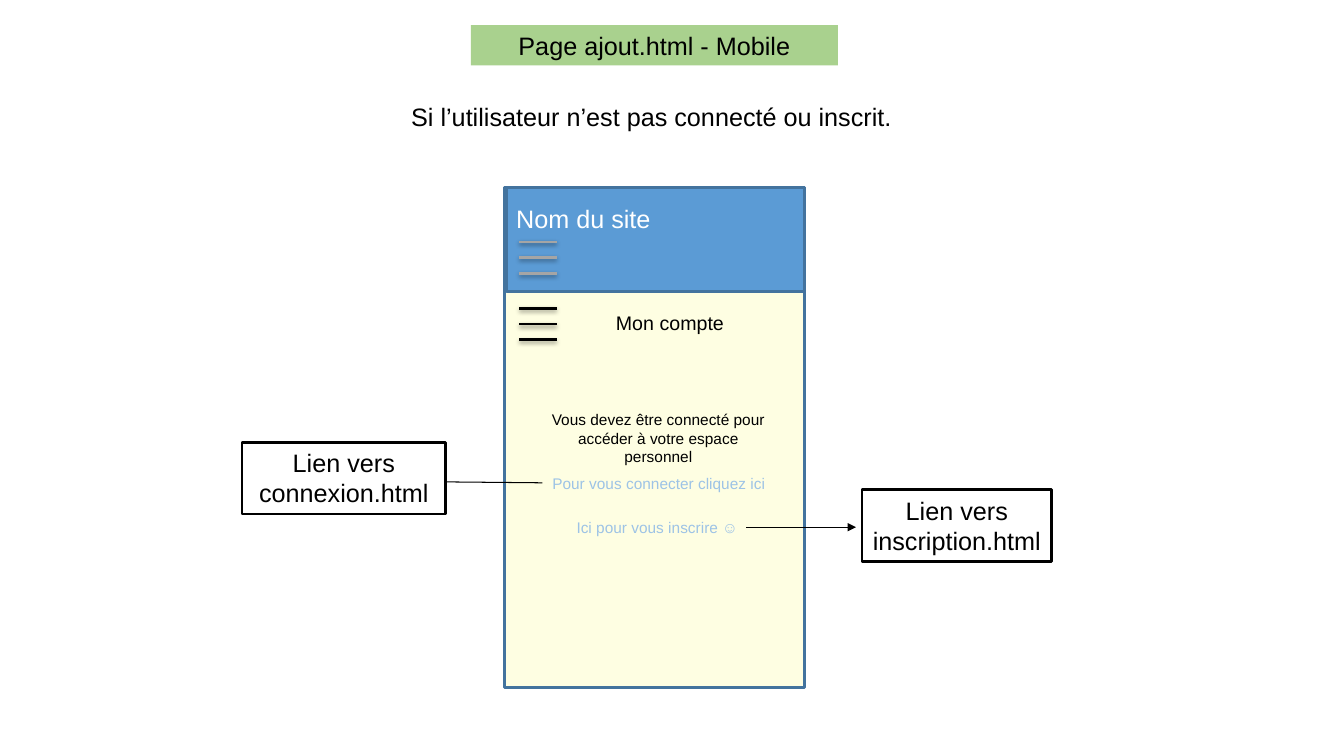
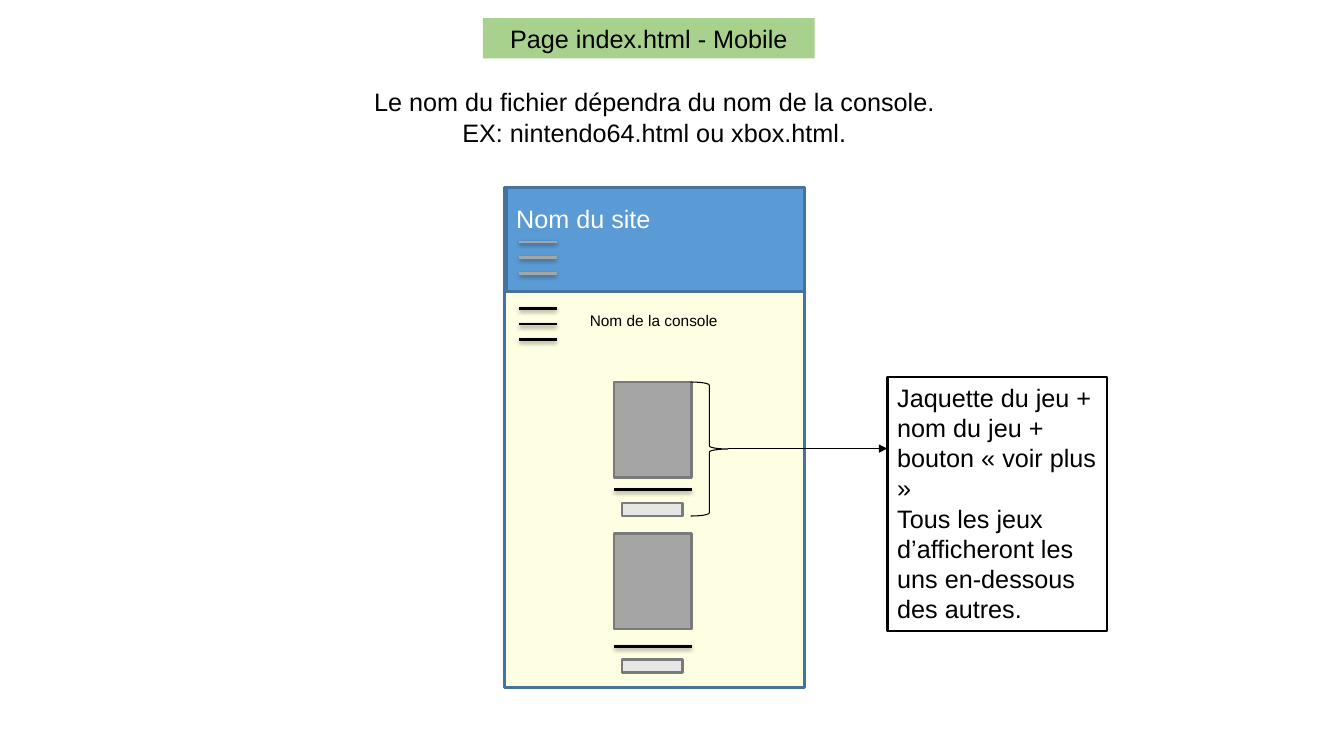
from pptx import Presentation
from pptx.dml.color import RGBColor
from pptx.enum import shapes, text
from pptx.oxml.ns import qn
from pptx.util import Inches, Pt
from lxml import etree

FONT = "Arial"
BLACK = RGBColor(0x00, 0x00, 0x00)
WHITE = RGBColor(0xFF, 0xFF, 0xFF)
GREEN = RGBColor(0xA9, 0xD1, 0x8E)
CREAM = RGBColor(0xFE, 0xFE, 0xE2)
BLUE = RGBColor(0x5B, 0x9B, 0xD5)
DARK_BLUE = RGBColor(0x43, 0x73, 0x9E)
LINK_BLUE = RGBColor(0x9D, 0xC3, 0xE6)
GREY = RGBColor(0xA5, 0xA5, 0xA5)
DARK_GREY = RGBColor(0x7A, 0x7A, 0x7A)
LIGHT_GREY = RGBColor(0xE7, 0xE6, 0xE6)

LEFT = text.PP_ALIGN.LEFT
CENTER = text.PP_ALIGN.CENTER
PHONE = (5, 1.86, 2.98, 4.96)


def inches(*lengths):
    return [Inches(length) for length in lengths]


def write(shape, wording, size=18, color=BLACK, align=CENTER):
    frame = shape.text_frame
    frame.word_wrap = True
    frame.vertical_anchor = text.MSO_ANCHOR.TOP
    frame.text = wording
    for paragraph in frame.paragraphs:
        paragraph.alignment = align
        for run in paragraph.runs:
            run.font.name = FONT
            run.font.size = Pt(size)
            run.font.color.rgb = color


def add_label(slide, box, wording, size=18, color=BLACK, align=CENTER):
    label = slide.shapes.add_textbox(*inches(*box))
    write(label, wording, size, color, align)


def add_box(slide, box, fill=None, line=None, width=2,
            kind=shapes.MSO_SHAPE.RECTANGLE):
    shape = slide.shapes.add_shape(kind, *inches(*box))
    shape.shadow.inherit = False
    if fill is None:
        shape.fill.background()
    else:
        shape.fill.solid()
        shape.fill.fore_color.rgb = fill
    if line is None:
        shape.line.fill.background()
    else:
        shape.line.color.rgb = line
        shape.line.width = Pt(width)
    return shape


def add_line(slide, start, end, color=BLACK, width=2):
    """Draw a straight line that keeps the soft shadow of the theme."""
    line = slide.shapes.add_connector(
        shapes.MSO_CONNECTOR.STRAIGHT, *inches(*start, *end))
    line.line.color.rgb = color
    line.line.width = Pt(width)
    return line


def add_arrow(slide, start, end):
    arrow = add_line(slide, start, end, width=0.75)
    etree.SubElement(arrow.line._get_or_add_ln(), qn("a:tailEnd"), type="triangle")
    etree.SubElement(arrow._element.spPr, qn("a:effectLst"))


def add_title(slide, box, wording):
    write(add_box(slide, box, GREEN), wording)


def add_callout(slide, box, wording, align=CENTER):
    write(add_box(slide, box, WHITE, BLACK), wording, align=align)


def add_menu_icon(slide, left, top, color):
    for row in range(3):
        y = top + row * 0.155
        add_line(slide, (left, y), (left + 0.37, y), color)


def add_phone(slide, box, heading, heading_width, heading_size):
    """Draw the phone screen with its site header, menus and page heading."""
    left, top, width, height = box
    add_box(slide, box, CREAM, DARK_BLUE)
    add_box(slide, (left + 0.02, top, width - 0.02, 1.03), BLUE, DARK_BLUE)
    add_label(slide, (left + 0.02, top + 0.11, 1.59, 0.4), "Nom du site",
              color=WHITE, align=LEFT)
    add_menu_icon(slide, left + 0.15, top + 0.54, GREY)
    add_menu_icon(slide, left + 0.15, top + 1.2, BLACK)
    add_label(slide, (left + 0.75, top + 1.18, heading_width, 0.34), heading,
              heading_size)


def add_game(slide, left, top, name_gap):
    """Draw a game cover, the line for its name and its button."""
    width, height = 0.77, 0.95
    name_y = top + height + name_gap
    add_box(slide, (left, top, width, height), GREY, DARK_GREY)
    add_line(slide, (left, name_y), (left + width, name_y))
    add_box(slide, (left + 0.08, name_y + 0.13, 0.6, 0.13), LIGHT_GREY, DARK_GREY)


def build_add_page(slide):
    add_title(slide, (4.67, 0.25, 3.64, 0.4), "Page ajout.html - Mobile")
    add_label(slide, (3.98, 0.96, 5.1, 0.4),
              "Si l’utilisateur n’est pas connecté ou inscrit.", align=LEFT)
    add_phone(slide, PHONE, "Mon compte", 1.79, 14)

    left, top = PHONE[:2]
    add_label(slide, (left + 0.33, top + 2.16, 2.4, 0.66),
              "Vous devez être connecté pour accéder à votre espace personnel", 11)
    add_label(slide, (left + 0.37, top + 2.79, 2.33, 0.29),
              "Pour vous connecter cliquez ici", 11, LINK_BLUE)
    add_label(slide, (left + 0.62, top + 3.23, 1.83, 0.29),
              "Ici pour vous inscrire ☺", 11, LINK_BLUE, LEFT)

    add_arrow(slide, (7.4, 5.23), (8.49, 5.23))
    add_callout(slide, (8.55, 4.86, 1.88, 0.71), "Lien vers inscription.html")
    add_arrow(slide, (5.38, 4.79), (4.35, 4.78))
    add_callout(slide, (2.4, 4.39, 2.02, 0.71), "Lien vers connexion.html")


def build_index_page(slide):
    add_title(slide, (4.79, 0.18, 3.29, 0.4), "Page index.html - Mobile")
    add_label(slide, (3.54, 0.81, 5.9, 0.71),
              "Le nom du fichier dépendra du nom de la console. "
              "EX: nintendo64.html ou xbox.html.")
    add_phone(slide, PHONE, "Nom de la console", 1.47, 11)

    left, top = PHONE[:2]
    for offset, name_gap in ((1.93, 0.12), (3.43, 0.17)):
        add_game(slide, left + 1.09, top + offset, name_gap)

    add_callout(slide, (8.8, 3.74, 2.18, 2.52),
                "Jaquette du jeu + nom du jeu + bouton « voir plus »\n"
                "Tous les jeux d’afficheront les uns en-dessous des autres.", LEFT)
    add_box(slide, (6.85, 3.79, 0.37, 1.33), line=BLACK, width=0.75,
            kind=shapes.MSO_SHAPE.RIGHT_BRACE)
    add_arrow(slide, (7.22, 4.45), (8.8, 4.45))


def main():
    presentation = Presentation()
    presentation.slide_width, presentation.slide_height = inches(13.33, 7.5)
    blank = presentation.slide_layouts[6]
    for build in (build_add_page, build_index_page):
        build(presentation.slides.add_slide(blank))
    presentation.save("out.pptx")


if __name__ == "__main__":
    main()
